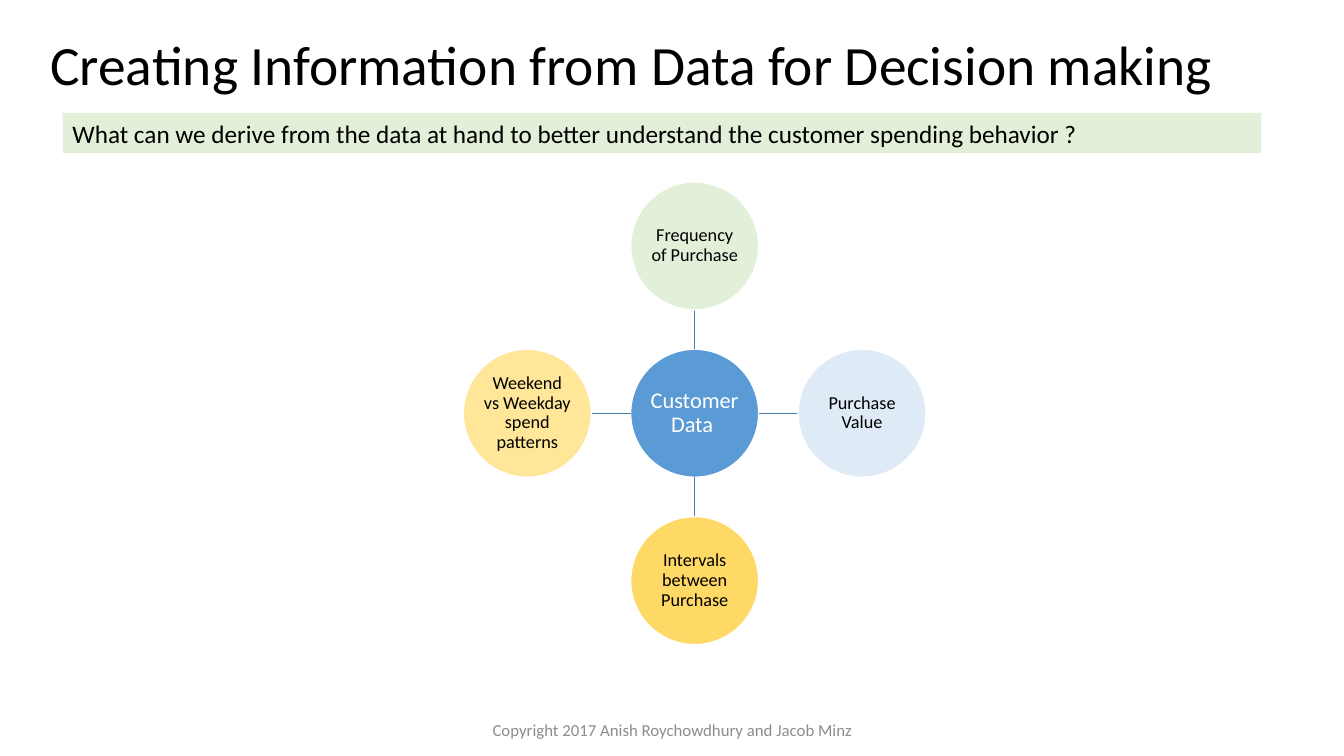
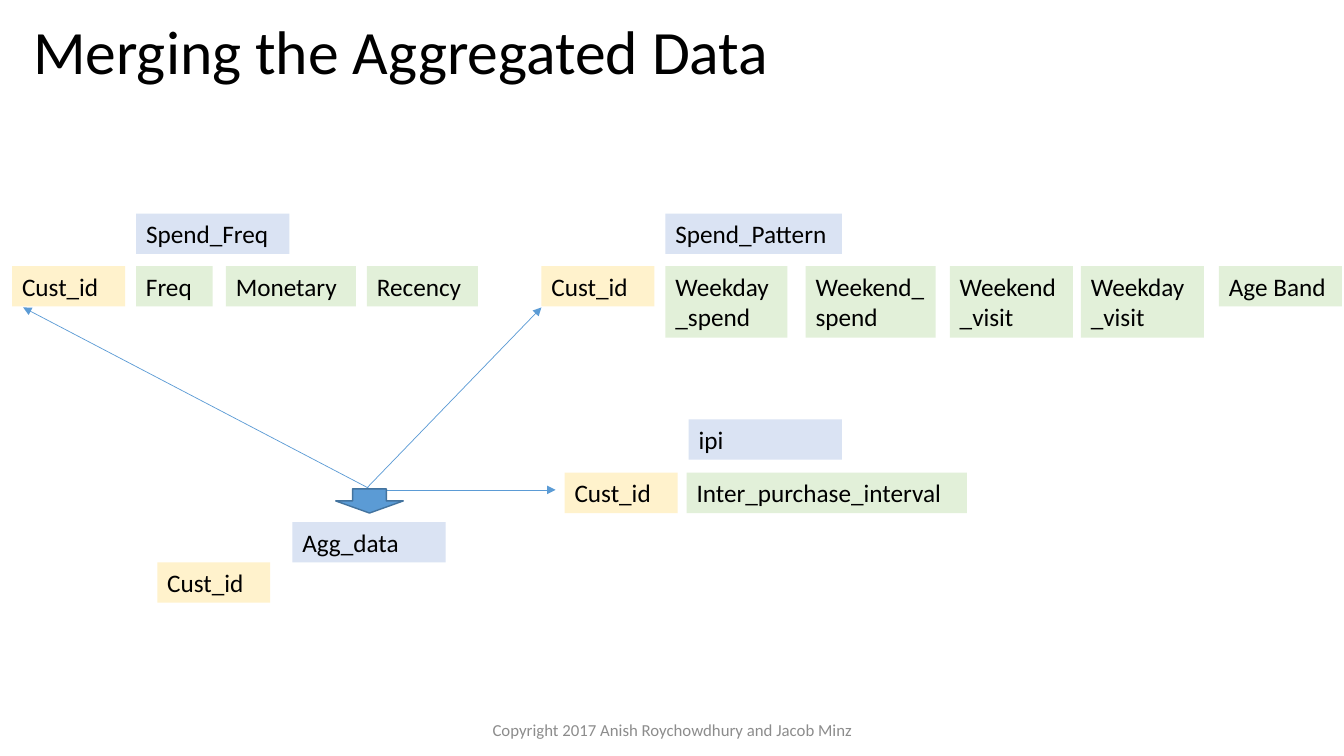
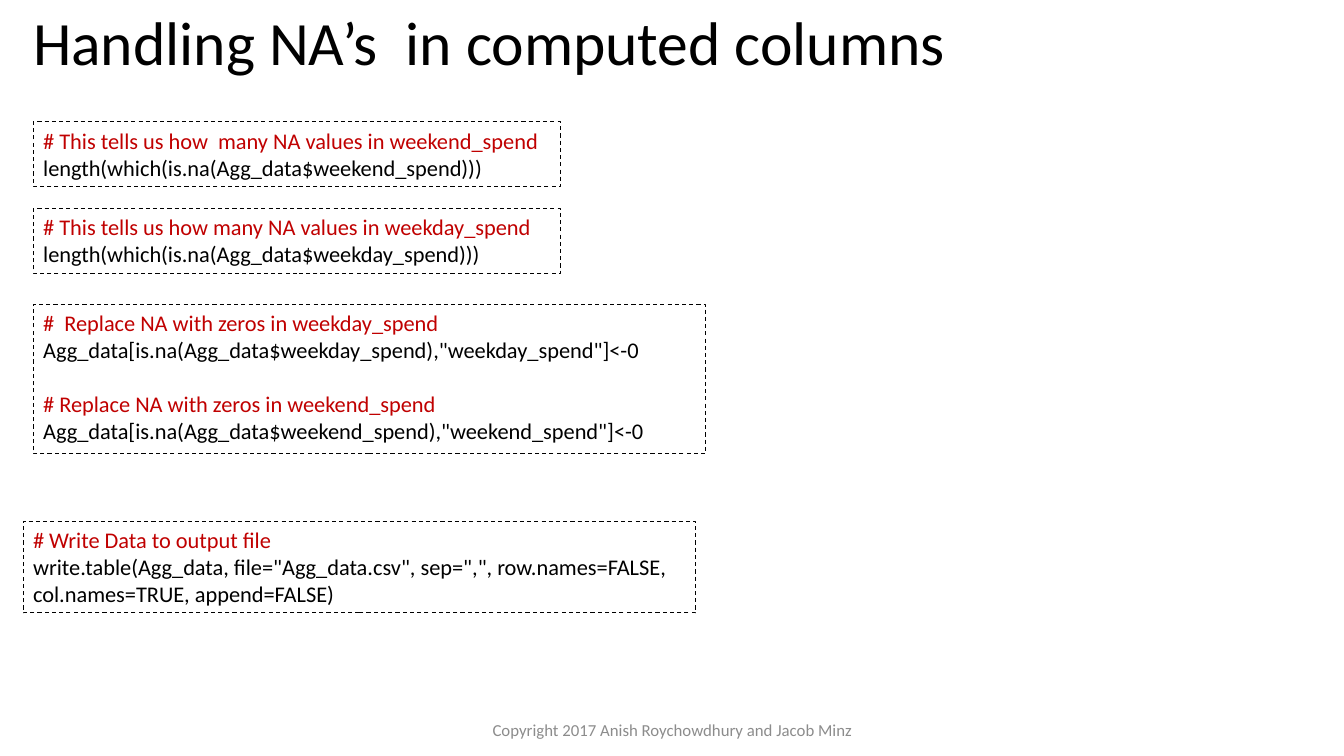
"""Build three slides on turning customer data into information."""
from lxml import etree
from pptx import Presentation, util as u
from pptx.dml.color import RGBColor
from pptx.enum import dml, shapes, text
from pptx.oxml.ns import qn


class Theme:
    font = "Calibri"
    black, white, grey, red = "000000", "FFFFFF", "8C8C8C", "C00000"
    blue, dark_blue, spoke = "5B9BD5", "43739E", "497CAB"
    green, pale_blue, lavender = "E2F0D9", "DEEBF7", "DAE3F3"
    cream, gold, amber = "FFF2CC", "FFD966", "FFE699"
    title, long_title, body, code, hub, satellite, footer = 44, 39.6, 18, 16, 16, 13, 12
    code_line = 19.5


COPYRIGHT = "Copyright 2017 Anish Roychowdhury and Jacob Minz"

QUESTION = "What can we derive from the data at hand to better understand the customer spending behavior ?"
HUB = "Customer Data "
SATELLITES = [
    ("Frequency of Purchase ", Theme.green, 0, -1),
    ("Purchase Value", Theme.pale_blue, 1, 0),
    ("Intervals between Purchase", Theme.gold, 0, 1),
    ("Weekend vs Weekday spend patterns", Theme.amber, -1, 0),
]

TABLES = [
    dict(name="Spend_Freq", left=1.35, width=1.52, top=2.12, drop=0.52, key_left=0.12,
         fields=[("Freq", 1.35, 0.76, 1), ("Monetary", 2.24, 1.29, 1), ("Recency", 3.64, 1.1, 1)]),
    dict(name="Spend_Pattern", left=6.6, width=1.75, top=2.12, drop=0.52, key_left=5.37,
         fields=[("Weekday_spend", 6.6, 1.21, 2), ("Weekend_spend", 7.99, 1.29, 2),
                 ("Weekend_visit", 9.42, 1.22, 2), ("Weekday_visit", 10.72, 1.22, 2),
                 ("Age Band", 12.09, 1.22, 1)]),
    dict(name="ipi", left=6.83, width=1.52, top=4.16, drop=0.53, key_left=5.6,
         fields=[("Inter_purchase_interval", 6.81, 2.78, 1)]),
    dict(name="Agg_data", left=2.9, width=1.52, top=5.18, drop=0.4, key_left=1.56, fields=[]),
]
KEY, KEY_WIDTH = "Cust_id", 1.12
LINE_HEIGHTS = {1: 0.4, 2: 0.71}
MERGE_ARROWS = [
    ((3.63, 4.85), (5.37, 3.05)),
    ((3.64, 4.86), (5.51, 4.86)),
    ((3.67, 4.85), (0.23, 3.05)),
]

SNIPPETS = [
    ((0.33, 1.21, 5.23, 0.64), [
        ("# This tells us how  many NA values in weekend_spend",
         "length(which(is.na(Agg_data$weekend_spend)))")]),
    ((0.33, 2.07, 5.23, 0.64), [
        ("# This tells us how many NA values in weekday_spend",
         "length(which(is.na(Agg_data$weekday_spend)))")]),
    ((0.33, 3.02, 6.67, 1.48), [
        ("#  Replace NA with zeros in weekday_spend",
         'Agg_data[is.na(Agg_data$weekday_spend),"weekday_spend"]<-0'),
        ("# Replace NA with zeros in weekend_spend",
         'Agg_data[is.na(Agg_data$weekend_spend),"weekend_spend"]<-0')]),
    ((0.23, 5.17, 6.67, 0.91), [
        ("# Write Data to output file",
         'write.table(Agg_data, file="Agg_data.csv", sep=",", row.names=FALSE, '
         'col.names=TRUE, append=FALSE)')]),
]


def inches(values):
    return [u.Inches(value) for value in values]


def write(frame, content, size, color=Theme.black, align=text.PP_ALIGN.LEFT,
          anchor=text.MSO_ANCHOR.TOP, spacing=None):
    frame.text = content
    frame.word_wrap = True
    frame.vertical_anchor = anchor
    for paragraph in frame.paragraphs:
        paragraph.alignment = align
        paragraph.line_spacing = spacing
        for run in paragraph.runs:
            run.font.name = Theme.font
            run.font.size = u.Pt(size)
            run.font.color.rgb = RGBColor.from_string(color)


def add_figure(slide, kind, box, fill=None, line=None, weight=1):
    figure = slide.shapes.add_shape(kind, *inches(box))
    figure.shadow.inherit = False
    if fill:
        figure.fill.solid()
        figure.fill.fore_color.rgb = RGBColor.from_string(fill)
    else:
        figure.fill.background()
    if line:
        figure.line.color.rgb = RGBColor.from_string(line)
        figure.line.width = u.Pt(weight)
    else:
        figure.line.fill.background()
    return figure


def add_label(slide, content, box, fill):
    label = add_figure(slide, shapes.MSO_SHAPE.RECTANGLE, box, fill)
    write(label.text_frame, content, Theme.body)


def add_line(slide, start, end, color, weight, arrow=False):
    line = slide.shapes.add_connector(shapes.MSO_CONNECTOR.STRAIGHT, *inches(start + end))
    line.line.color.rgb = RGBColor.from_string(color)
    line.line.width = u.Pt(weight)
    if arrow:
        etree.SubElement(line.line._get_or_add_ln(), qn("a:tailEnd"), type="triangle")
    etree.SubElement(line._element.spPr, qn("a:effectLst"))


def add_slide(deck, title, box, size=Theme.title):
    slide = deck.slides.add_slide(deck.slide_layouts[6])
    heading = slide.shapes.add_textbox(*inches(box))
    write(heading.text_frame, title, size, anchor=text.MSO_ANCHOR.MIDDLE, spacing=0.9)
    footer = slide.shapes.add_textbox(*inches((4.42, 7.04, 4.5, 0.4)))
    write(footer.text_frame, COPYRIGHT, Theme.footer, Theme.grey,
          text.PP_ALIGN.CENTER, text.MSO_ANCHOR.MIDDLE)
    return slide


def add_circle(slide, content, center, diameter, fill, size, color):
    x, y = center
    box = (x - diameter / 2, y - diameter / 2, diameter, diameter)
    circle = add_figure(slide, shapes.MSO_SHAPE.OVAL, box, fill, Theme.white)
    frame = circle.text_frame
    frame.margin_left = frame.margin_right = u.Inches(0.01)
    frame.margin_top = frame.margin_bottom = u.Inches(0.01)
    write(frame, content, size, color, text.PP_ALIGN.CENTER, text.MSO_ANCHOR.MIDDLE, 0.9)


def build_information(deck):
    slide = add_slide(deck, "Creating Information from Data for Decision making",
                      (0.4, 0.22, 12.33, 0.9), Theme.long_title)
    add_label(slide, QUESTION, (0.62, 1.12, 11.89, 0.4), Theme.green)
    x, y, diameter, reach = 6.89, 4.1, 1.27, 1.66
    radius = diameter / 2
    add_circle(slide, HUB, (x, y), diameter, Theme.blue, Theme.hub, Theme.white)
    for content, fill, dx, dy in SATELLITES:
        near, far = radius, reach - radius
        add_line(slide, (x + dx * near, y + dy * near), (x + dx * far, y + dy * far),
                 Theme.spoke, 1)
        add_circle(slide, content, (x + dx * reach, y + dy * reach), diameter, fill,
                   Theme.satellite, Theme.black)


def build_merge(deck):
    slide = add_slide(deck, "Merging the Aggregated Data", (0.23, 0.09, 12.74, 0.9))
    for table in TABLES:
        top, height = table["top"], LINE_HEIGHTS[1]
        row_top = top + table["drop"]
        add_label(slide, table["name"], (table["left"], top, table["width"], height),
                  Theme.lavender)
        add_label(slide, KEY, (table["key_left"], row_top, KEY_WIDTH, height), Theme.cream)
        for field, left, width, lines in table["fields"]:
            add_label(slide, field, (left, row_top, width, LINE_HEIGHTS[lines]), Theme.green)
    for start, end in MERGE_ARROWS:
        add_line(slide, start, end, Theme.blue, 0.5, arrow=True)
    add_figure(slide, shapes.MSO_SHAPE.DOWN_ARROW, (3.33, 4.85, 0.67, 0.24),
               Theme.blue, Theme.dark_blue)


def build_missing_values(deck):
    slide = add_slide(deck, "Handling NA’s  in computed columns", (0.23, 0, 12.74, 0.9))
    for box, steps in SNIPPETS:
        snippet = add_figure(slide, shapes.MSO_SHAPE.RECTANGLE, box, line=Theme.black, weight=0.75)
        snippet.line.dash_style = dml.MSO_LINE.DASH
        frame = snippet.text_frame
        write(frame, "\n".join(line for step in steps for line in step), Theme.code)
        for index, remark in enumerate(frame.paragraphs[::2]):
            remark.runs[0].font.color.rgb = RGBColor.from_string(Theme.red)
            if index:
                remark.space_before = u.Pt(Theme.code_line)


def main():
    deck = Presentation()
    deck.slide_width, deck.slide_height = inches((13.33, 7.5))
    build_information(deck)
    build_merge(deck)
    build_missing_values(deck)
    deck.save("out.pptx")


if __name__ == "__main__":
    main()
